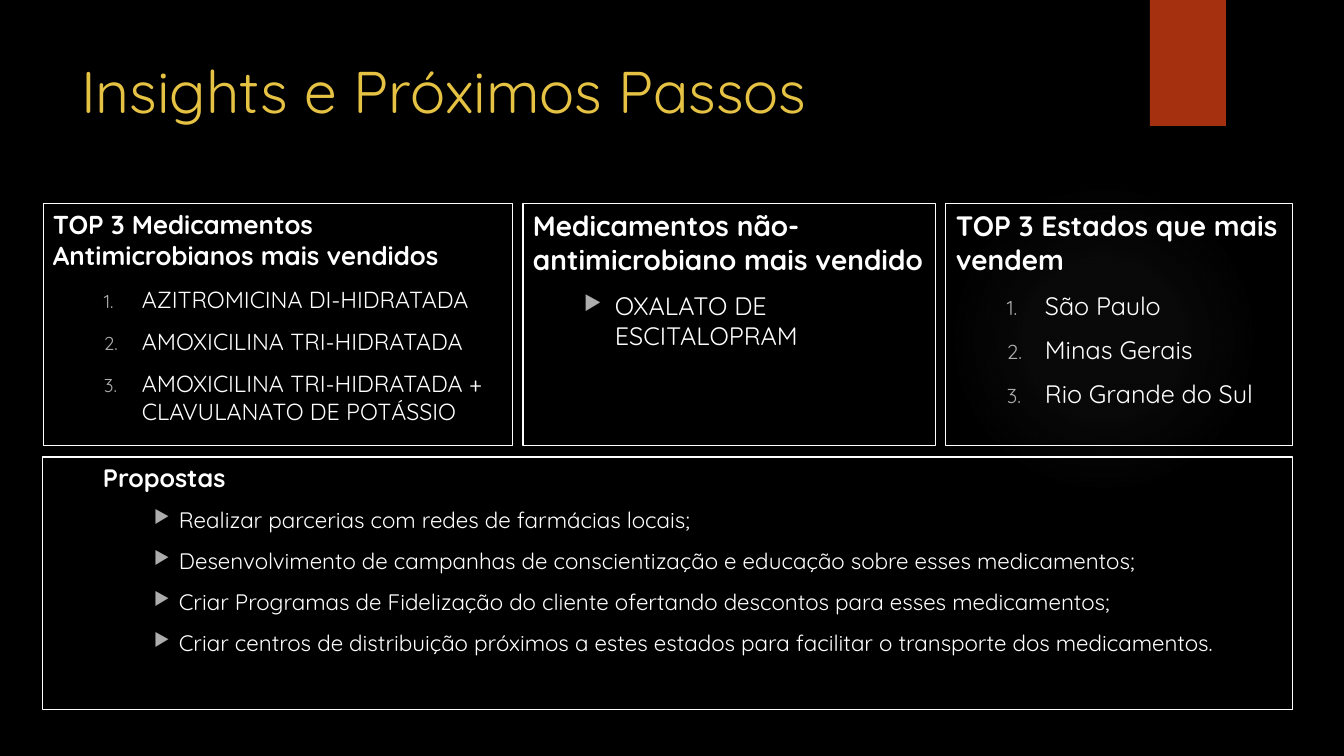
from dataclasses import dataclass

from lxml import etree
from pptx import Presentation
from pptx.dml.color import RGBColor
from pptx.enum.shapes import MSO_SHAPE
from pptx.enum.text import MSO_ANCHOR, MSO_AUTO_SIZE, PP_ALIGN
from pptx.oxml import parse_xml
from pptx.oxml.ns import nsdecls, qn
from pptx.shapes.autoshape import Shape
from pptx.slide import Slide
from pptx.text.text import TextFrame
from pptx.util import Pt

RECT, OVAL = MSO_SHAPE.RECTANGLE, MSO_SHAPE.OVAL
TOP, LEFT = MSO_ANCHOR.TOP, PP_ALIGN.LEFT
NO_FIT = MSO_AUTO_SIZE.NONE
WIDE, HIGH = 1344, 756
EMU = 12192000 / WIDE

BLACK = RGBColor(0x00, 0x00, 0x00)
WHITE = RGBColor(0xFF, 0xFF, 0xFF)
GOLD = RGBColor(0xE5, 0xC2, 0x43)
RUST = RGBColor(0xA5, 0x30, 0x0F)
GREY = RGBColor(0xAD, 0xAD, 0xAD)
GLOW = RGBColor(0x84, 0x84, 0x84)

FONT = "Quicksand"
FRAME = {"word_wrap": True, "auto_size": NO_FIT, "vertical_anchor": TOP}
EDGE, GAP = 43, 10
ROW_TOP, ROW_HIGH = 204, 242
BASE_TOP, BASE_HIGH = 457, 253
GLOW_STOPS = ((0, 7), (36, 6), (69, 0))


@dataclass(frozen=True)
class Mark:
    """A list marker with its text indent and hanging width in px."""
    tag: str
    key: str
    value: str
    margin: int
    hang: int
    level: int = 1


@dataclass(frozen=True)
class Panel:
    width: int
    head: str
    head_size: float
    items: tuple[str, ...]
    size: float
    mark: Mark
    inset: int = 0
    before: int = 10


NUMBER = Mark("a:buAutoNum", "type", "arabicPeriod", 89, 38)
ARROW = Mark("a:buChar", "char", "▶", 82, 31)
DEEP = Mark("a:buChar", "char", "▶", 126, 25, 2)

ROW = (
    Panel(470, "TOP 3 Medicamentos Antimicrobianos mais vendidos", 18.5,
          ("AZITROMICINA DI-HIDRATADA", "AMOXICILINA TRI-HIDRATADA",
           "AMOXICILINA TRI-HIDRATADA + CLAVULANATO DE POTÁSSIO"),
          16.6, NUMBER),
    Panel(413, "Medicamentos não-antimicrobiano mais vendido", 20,
          ("OXALATO DE ESCITALOPRAM",), 18, ARROW),
    Panel(347, "TOP 3 Estados que mais vendem", 20,
          ("São Paulo", "Minas Gerais", "Rio Grande do Sul"), 18, NUMBER),
)
BASE = Panel(
    sum(panel.width for panel in ROW) + GAP * (len(ROW) - 1),
    "Propostas", 18,
    ("Realizar parcerias com redes de farmácias locais;",
     "Desenvolvimento de campanhas de conscientização e educação sobre "
     "esses medicamentos;",
     "Criar Programas de Fidelização do cliente ofertando descontos para "
     "esses medicamentos;",
     "Criar centros de distribuição próximos a estes estados para "
     "facilitar o transporte dos medicamentos."),
    16, DEEP, 50, 18)


def px(count: int) -> int:
    return round(count * EMU)


def style(target: object, values: dict) -> None:
    for name, value in values.items():
        setattr(target, name, value)


def place(shape: Shape, left: int, top: int, width: int, height: int) -> None:
    style(shape, {"left": px(left), "top": px(top),
                  "width": px(width), "height": px(height)})


def add_form(slide: Slide, kind: MSO_SHAPE, *area: int) -> Shape:
    """Add a preset shape with neither fill, line nor shadow."""
    form = slide.shapes.add_shape(kind, *map(px, area))
    form.shadow.inherit = False
    form.fill.background()
    form.line.fill.background()
    return form


def add_glow(slide: Slide) -> None:
    form = add_form(slide, OVAL, 949, 184, 310, 310)
    stops = "".join(
        f'<a:gs pos="{pos * 1000}"><a:srgbClr val="{GLOW}">'
        f'<a:alpha val="{alpha * 1000}"/></a:srgbClr></a:gs>'
        for pos, alpha in GLOW_STOPS)
    grad = parse_xml(
        f'<a:gradFill {nsdecls("a")}><a:gsLst>{stops}</a:gsLst>'
        '<a:path path="circle"><a:fillToRect l="50000" t="50000" '
        'r="50000" b="50000"/></a:path></a:gradFill>')
    props = form._element.spPr
    props.replace(props.find(qn("a:noFill")), grad)


def add_line(frame: TextFrame, text: str, size: float, bold: bool,
             before: int, first: bool = False):
    """Write one paragraph and return its properties element."""
    para = frame.paragraphs[0] if first else frame.add_paragraph()
    style(para, {"alignment": LEFT, "space_before": Pt(before)})
    run = para.add_run()
    run.text = text
    style(run.font, {"name": FONT, "size": Pt(size), "bold": bold})
    run.font.color.rgb = WHITE
    return para._p.get_or_add_pPr()


def add_mark(props, mark: Mark) -> None:
    for key, value in (("marL", px(mark.margin)), ("indent", -px(mark.hang)),
                       ("lvl", mark.level)):
        props.set(key, str(value))
    tint = etree.SubElement(props, qn("a:buClr"))
    etree.SubElement(tint, qn("a:srgbClr"), val=str(GREY))
    etree.SubElement(props, qn("a:buSzPct"), val="80000")
    etree.SubElement(props, qn(mark.tag), {mark.key: mark.value})


def add_panel(slide: Slide, panel: Panel, left: int, top: int,
              height: int) -> None:
    form = add_form(slide, RECT, left, top, panel.width, height)
    form.line.color.rgb = WHITE
    form.line.width = Pt(0.75)
    frame = form.text_frame
    style(frame, FRAME)
    props = add_line(frame, panel.head, panel.head_size, True,
                     panel.before, True)
    props.set("marL", str(px(panel.inset)))
    for item in panel.items:
        add_mark(add_line(frame, item, panel.size, False, 10), panel.mark)


def set_title(slide: Slide) -> None:
    title = slide.shapes.title
    place(title, 71, 50, 1037, 154)
    frame = title.text_frame
    frame.text = "Insights e Próximos Passos"
    style(frame, FRAME)
    para = frame.paragraphs[0]
    para.alignment = LEFT
    font = para.runs[0].font
    style(font, {"name": FONT, "size": Pt(42), "bold": False})
    font.color.rgb = GOLD


def main() -> None:
    deck = Presentation()
    style(deck, {"slide_width": px(WIDE), "slide_height": px(HIGH)})
    slide = deck.slides.add_slide(deck.slide_layouts.get_by_name("Title Only"))
    back = slide.background.fill
    back.solid()
    back.fore_color.rgb = BLACK
    set_title(slide)
    add_glow(slide)
    flag = add_form(slide, RECT, 1150, 0, 76, 126)
    flag.fill.solid()
    flag.fill.fore_color.rgb = RUST
    left = EDGE
    for panel in ROW:
        add_panel(slide, panel, left, ROW_TOP, ROW_HIGH)
        left += panel.width + GAP
    add_panel(slide, BASE, EDGE, BASE_TOP, BASE_HIGH)
    deck.save("out.pptx")


if __name__ == "__main__":
    main()
